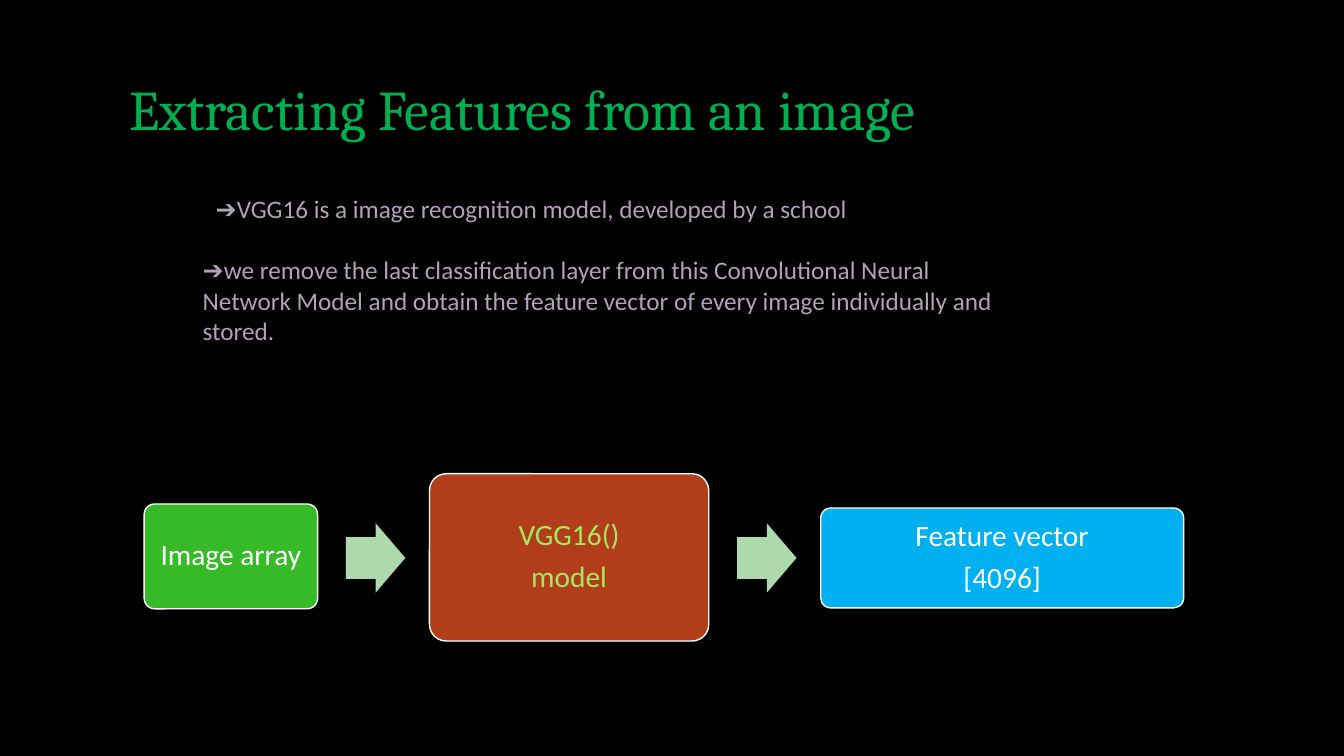
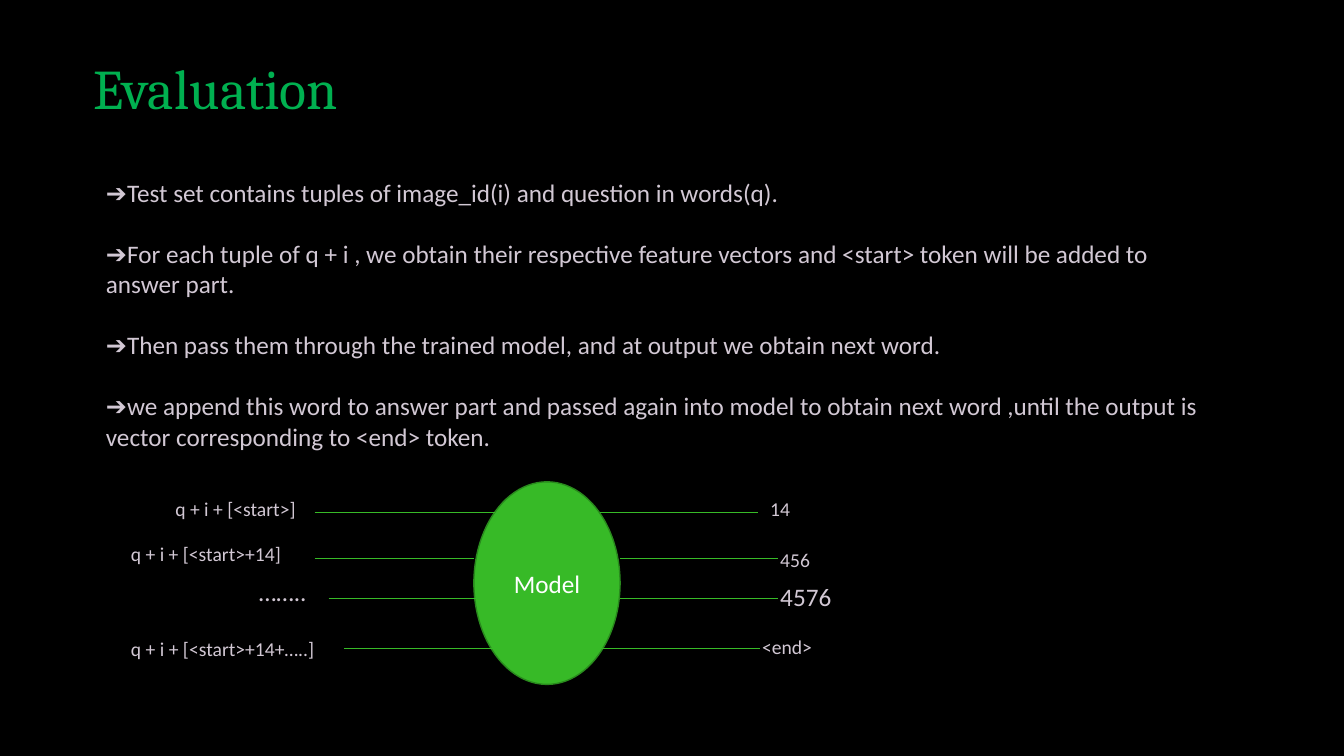
from dataclasses import dataclass

import pptx
import pptx.dml.color
import pptx.enum.shapes
import pptx.enum.text
import pptx.util
from lxml import etree
from pptx.oxml import ns

Inches = pptx.util.Inches
Pt = pptx.util.Pt
Shapes = pptx.enum.shapes.MSO_SHAPE
Align = pptx.enum.text.PP_ALIGN
Anchor = pptx.enum.text.MSO_ANCHOR


@dataclass(frozen=True)
class Theme:
    background: str = "000000"
    title: str = "00B050"
    mauve: str = "B2A2B5"
    pale: str = "D2C8D4"
    white: str = "FFFFFF"
    green: str = "37BA27"
    dark_green: str = "298A1D"
    arrow: str = "AED9AD"
    rust: str = "B13D1B"
    lime: str = "A7E85F"
    blue: str = "00B0F0"
    title_font: str = "Cambria"
    body_font: str = "Calibri"
    title_size: float = 40
    step_size: float = 21
    body_size: float = 18
    label_size: float = 14


THEME = Theme()


@dataclass(frozen=True)
class Frame:
    left: float
    top: float
    width: float
    height: float


@dataclass(frozen=True)
class Step:
    frame: Frame
    lines: tuple[str, ...]
    fill: str
    ink: str = THEME.white


@dataclass(frozen=True)
class Label:
    text: str
    frame: Frame
    size: float = THEME.label_size


@dataclass(frozen=True)
class Wire:
    """One level of the model diagram: an input line and an output line."""
    height: float
    input_start: float
    input_end: float
    output_start: float
    output_end: float


# Shared drawing functions
def rgb(colour: str):
    return pptx.dml.color.RGBColor.from_string(colour)


def place(shape, frame: Frame) -> None:
    shape.left, shape.top = Inches(frame.left), Inches(frame.top)
    shape.width, shape.height = Inches(frame.width), Inches(frame.height)


def style_text(text_frame, size: float, colour: str, font: str = THEME.body_font) -> None:
    for para in text_frame.paragraphs:
        for span in para.runs:
            span.font.name = font
            span.font.size = Pt(size)
            span.font.color.rgb = rgb(colour)


def add_page(deck, title: str, title_frame: Frame, body: tuple[str, ...],
             body_frame: Frame, body_colour: str):
    page = deck.slides.add_slide(deck.slide_layouts[1])
    heading, content = page.placeholders
    for box, frame, text in ((heading, title_frame, title),
                             (content, body_frame, "\n".join(body))):
        place(box, frame)
        box.text_frame.text = text
        box.text_frame.word_wrap = True
        box.text_frame.auto_size = pptx.enum.text.MSO_AUTO_SIZE.NONE
        box.text_frame.vertical_anchor = Anchor.TOP
    heading.text_frame.paragraphs[0].alignment = Align.LEFT
    style_text(heading.text_frame, THEME.title_size, THEME.title, THEME.title_font)
    style_text(content.text_frame, THEME.body_size, body_colour)
    # The arrows are typed, so the list has no bullets and no hanging indent
    for index, para in enumerate(content.text_frame.paragraphs):
        para.space_before = Pt(22 if index else 0)
        settings = para._p.get_or_add_pPr()
        settings.set("marL", "0")
        settings.set("indent", "0")
        etree.SubElement(settings, ns.qn("a:buNone"))
    return page


def add_block(page, kind, frame: Frame, fill: str, outline: str | None = None):
    block = page.shapes.add_shape(kind, 0, 0, 0, 0)
    place(block, frame)
    block.shadow.inherit = False
    block.fill.solid()
    block.fill.fore_color.rgb = rgb(fill)
    if outline:
        block.line.color.rgb = rgb(outline)
        block.line.width = Pt(1)
    else:
        block.line.fill.background()
    return block


def add_centred_text(block, lines: tuple[str, ...], size: float, colour: str) -> None:
    block.text_frame.text = "\n".join(lines)
    block.text_frame.word_wrap = True
    block.text_frame.vertical_anchor = Anchor.MIDDLE
    for para in block.text_frame.paragraphs:
        para.alignment = Align.CENTER
    style_text(block.text_frame, size, colour)


def add_step(page, step: Step) -> None:
    block = add_block(page, Shapes.ROUNDED_RECTANGLE, step.frame, step.fill, THEME.white)
    block.adjustments[0] = 0.1
    add_centred_text(block, step.lines, THEME.step_size, step.ink)
    frame = block.text_frame
    frame.margin_left = frame.margin_right = Inches(0.09)
    frame.margin_top = frame.margin_bottom = Inches(0.09)
    for para in frame.paragraphs:
        para.line_spacing = 0.9
        para.space_after = Pt(0.35 * THEME.step_size)


def add_arrow(page, frame: Frame) -> None:
    arrow = add_block(page, Shapes.RIGHT_ARROW, frame, THEME.arrow)
    arrow.adjustments[0] = 0.6
    arrow.adjustments[1] = 0.5


def add_line(page, start: float, end: float, height: float) -> None:
    line = page.shapes.add_connector(
        pptx.enum.shapes.MSO_CONNECTOR.STRAIGHT,
        Inches(start), Inches(height), Inches(end), Inches(height))
    line.line.color.rgb = rgb(THEME.green)
    line.line.width = Pt(0.5)
    etree.SubElement(line._element.spPr, ns.qn("a:effectLst"))


def add_label(page, label: Label) -> None:
    box = page.shapes.add_textbox(0, 0, 0, 0)
    place(box, label.frame)
    box.text_frame.text = label.text
    box.text_frame.word_wrap = True
    style_text(box.text_frame, label.size, THEME.pale)


# Slide 1: feature extraction
STEPS = (
    Step(Frame(1.43, 5, 1.72, 1.04), ("Image array",), THEME.green),
    Step(Frame(4.26, 4.7, 2.77, 1.66), ("VGG16()", "model"), THEME.rust, THEME.lime),
    Step(Frame(8.14, 5.04, 3.6, 0.99), ("Feature vector", "[4096]"), THEME.blue),
)
ARROW_GAP, ARROW_TOP, ARROW_WIDTH, ARROW_HEIGHT = 0.28, 5.19, 0.59, 0.69


def build_features(deck) -> None:
    page = add_page(
        deck, "Extracting Features from an image", Frame(1.18, 0.69, 9.3, 0.77),
        ("➔VGG16 is a image recognition model, developed by a school",
         "➔we remove the last classification layer from this Convolutional Neural "
         "Network Model and obtain the feature vector of every image individually "
         "and stored."),
        Frame(1.91, 1.87, 8.2, 1.62), THEME.mauve)
    opening = page.placeholders[1].text_frame.paragraphs[0]
    opening._p.get_or_add_pPr().set("indent", str(Inches(0.13)))
    for step in STEPS:
        add_step(page, step)
    for step in STEPS[:-1]:
        left = step.frame.left + step.frame.width + ARROW_GAP
        add_arrow(page, Frame(left, ARROW_TOP, ARROW_WIDTH, ARROW_HEIGHT))


# Slide 2: evaluation loop
WIRES = (
    Wire(5.08, 3.12, 4.91, 5.95, 7.52),
    Wire(5.54, 3.12, 4.7, 6.15, 7.72),
    Wire(5.94, 3.26, 4.77, 6.15, 7.72),
    Wire(6.43, 3.41, 4.91, 5.96, 7.54),
)
LABELS = (
    Label("q + i + [<start>]", Frame(1.64, 4.88, 1.91, 0.34)),
    Label("q + i + [<start>+14]", Frame(1.2, 5.33, 1.96, 0.34)),
    Label("……..", Frame(2.47, 5.67, 0.85, 0.4), THEME.body_size),
    Label("q + i + [<start>+14+…..]", Frame(1.2, 6.27, 3.12, 0.34)),
    Label("14", Frame(7.54, 4.88, 0.61, 0.34)),
    Label("456", Frame(7.64, 5.39, 0.59, 0.34)),
    Label("4576", Frame(7.64, 5.72, 0.85, 0.4), THEME.body_size),
    Label("<end>", Frame(7.46, 6.25, 1.05, 0.34)),
)


def build_evaluation(deck) -> None:
    page = add_page(
        deck, "Evaluation", Frame(0.83, 0.48, 3.05, 0.77),
        ("➔Test set contains tuples of image_id(i) and question in words(q).",
         "➔For each tuple of q + i , we obtain their respective feature vectors and "
         "<start> token will be added to answer part.",
         "➔Then pass them through the trained model, and at output we obtain next word.",
         "➔we append this word to answer part and passed again into model to obtain "
         "next word ,until the output is vector corresponding to <end> token."),
        Frame(0.95, 1.71, 11.3, 2.83), THEME.pale)
    model = add_block(page, Shapes.OVAL, Frame(4.7, 4.78, 1.45, 2.01),
                      THEME.green, THEME.dark_green)
    add_centred_text(model, ("Model",), THEME.body_size, THEME.white)
    for wire in WIRES:
        add_line(page, wire.input_start, wire.input_end, wire.height)
        add_line(page, wire.output_start, wire.output_end, wire.height)
    for label in LABELS:
        add_label(page, label)


def main() -> None:
    deck = pptx.Presentation()
    deck.slide_width, deck.slide_height = Inches(13.33), Inches(7.5)
    backdrop = deck.slide_master.background.fill
    backdrop.solid()
    backdrop.fore_color.rgb = rgb(THEME.background)
    build_features(deck)
    build_evaluation(deck)
    deck.save("out.pptx")


if __name__ == "__main__":
    main()
